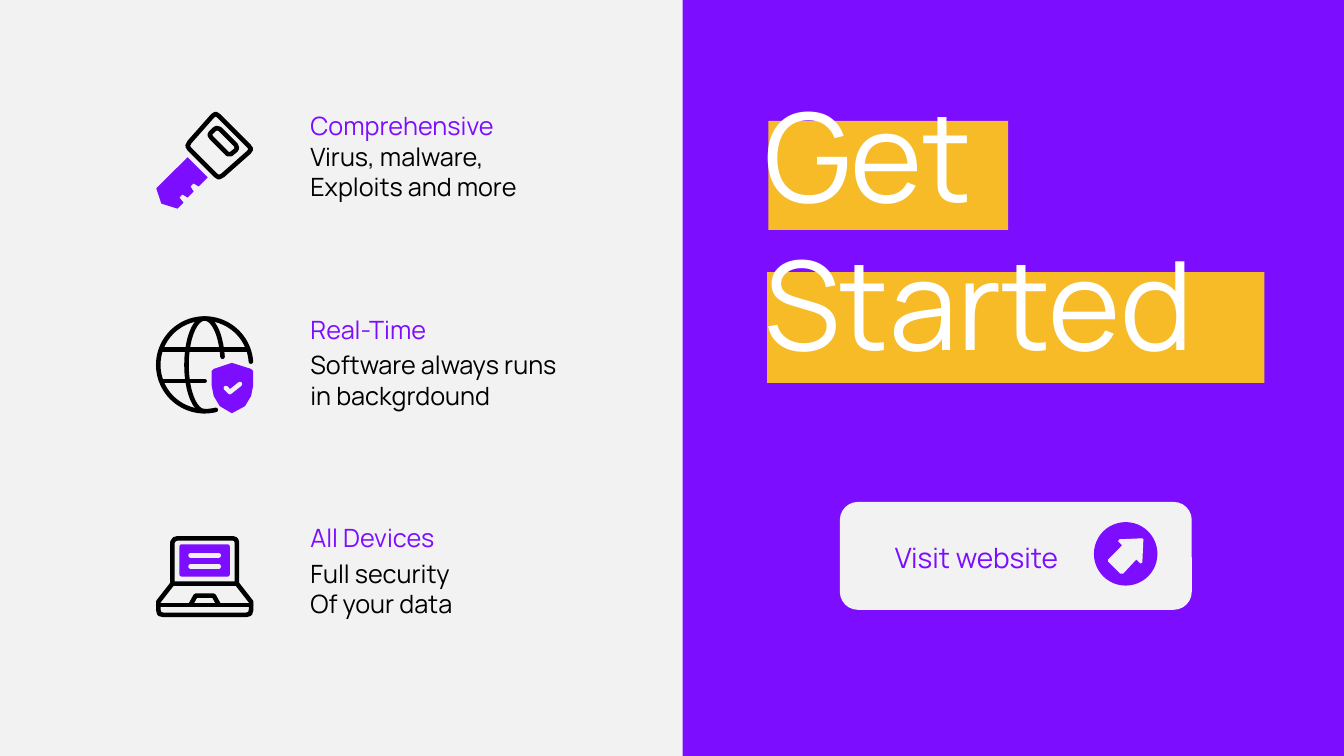
from math import cos, radians, sin

from lxml import etree
from pptx import Presentation
from pptx.dml.color import RGBColor
from pptx.enum.shapes import MSO_SHAPE
from pptx.enum.text import PP_ALIGN
from pptx.oxml.ns import qn
from pptx.util import Inches, Pt

RECT = MSO_SHAPE.RECTANGLE
ROUND = MSO_SHAPE.ROUNDED_RECTANGLE
OVAL = MSO_SHAPE.OVAL
LEFT, CENTER = PP_ALIGN.LEFT, PP_ALIGN.CENTER

COLORS = {
    "paper": "F2F2F2",
    "violet": "7C0DFF",
    "amber": "F6BB26",
    "black": "000000",
    "white": "FFFFFF",
}


def arc(cx, cy, rx, ry, start, end, step=4):
    return [
        (cx + rx * cos(radians(a)), cy + ry * sin(radians(a)))
        for a in range(start, end + 1, step)
    ]


class Deck:
    font = "Manrope"
    stroke = Pt(3.25)

    def __init__(self, prs):
        self.s = prs.slides.add_slide(prs.slide_layouts[6])
        fill = self.s.background.fill
        fill.solid()
        fill.fore_color.rgb = self.color("paper")

    def color(self, name):
        return RGBColor.from_string(COLORS[name])

    def paint(self, sp, color):
        sp.shadow.inherit = False
        sp.fill.solid()
        sp.fill.fore_color.rgb = self.color(color)
        sp.line.fill.background()

    def shape(self, kind, x, y, w, h, color):
        sp = self.s.shapes.add_shape(kind, Inches(x), Inches(y), Inches(w), Inches(h))
        self.paint(sp, color)
        return sp

    def outline(self, points, close):
        pts = [(Inches(x), Inches(y)) for x, y in points]
        fb = self.s.shapes.build_freeform(*pts[0])
        fb.add_line_segments(pts[1:], close=close)
        return fb.convert_to_shape()

    def solid(self, points, color):
        self.paint(self.outline(points, True), color)

    def round_line(self, line, color):
        line.color.rgb = self.color(color)
        line.width = self.stroke

    def path_line(self, points, color="black", close=False):
        sp = self.outline(points, close)
        sp.shadow.inherit = False
        sp.fill.background()
        self.round_line(sp.line, color)
        ln = sp.line._get_or_add_ln()
        ln.set("cap", "rnd")
        etree.SubElement(ln, qn("a:round"))

    def bar(self, x1, x2, y, color="black"):
        c = self.s.shapes.add_connector(1, Inches(x1), Inches(y), Inches(x2), Inches(y))
        self.round_line(c.line, color)
        c.line._get_or_add_ln().set("cap", "rnd")
        etree.SubElement(c._element.spPr, qn("a:effectLst"))

    def text(self, x, y, w, h, lines, size, color, align=LEFT):
        tf = self.s.shapes.add_textbox(Inches(x), Inches(y), Inches(w), Inches(h)).text_frame
        tf.word_wrap = True
        for i, line in enumerate(lines):
            p = tf.add_paragraph() if i else tf.paragraphs[0]
            p.alignment = align
            r = p.add_run()
            r.text = line
            r.font.name = self.font
            r.font.size = Pt(size)
            r.font.color.rgb = self.color(color)


def draw_key(d):
    d.solid([(1.86, 1.56), (2.06, 1.76), (1.97, 1.85), (1.92, 1.82), (1.89, 1.85),
             (1.92, 1.9), (1.86, 1.96), (1.81, 1.93), (1.78, 1.96), (1.82, 2.01),
             (1.76, 2.07), (1.6, 2.02), (1.55, 1.87)], "violet")
    d.path_line([(2.11, 1.15), (2.14, 1.13), (2.17, 1.15), (2.47, 1.45), (2.49, 1.48),
                 (2.47, 1.51), (2.21, 1.74), (2.17, 1.76), (2.14, 1.74), (1.88, 1.48),
                 (1.86, 1.45), (1.88, 1.41)], close=True)
    d.path_line([(2.13, 1.28), (2.15, 1.27), (2.18, 1.28), (2.34, 1.44), (2.35, 1.47),
                 (2.34, 1.49), (2.29, 1.53), (2.26, 1.53), (2.1, 1.37), (2.08, 1.34),
                 (2.09, 1.32)], close=True)


def draw_globe(d):
    d.path_line(arc(2.03, 3.62, 0.46, 0.46, 76, 356))
    d.path_line(arc(2.03, 3.62, 0.18, 0.46, 90, 352))
    d.bar(1.61, 2.45, 3.47)
    d.bar(1.61, 2.03, 3.78)
    d.solid([(2.3, 3.6), (2.49, 3.66), (2.51, 3.68), (2.51, 3.83), (2.49, 3.93),
             (2.43, 4.03), (2.3, 4.1), (2.18, 4.03), (2.12, 3.93), (2.1, 3.83),
             (2.1, 3.68), (2.12, 3.66)], "violet")
    d.path_line([(2.24, 3.85), (2.28, 3.89), (2.38, 3.81)], "paper")


def draw_laptop(d):
    d.path_line([(1.71, 5.79), (1.71, 5.38), (1.73, 5.35), (1.76, 5.34), (2.31, 5.34),
                 (2.34, 5.35), (2.35, 5.38), (2.35, 5.79)])
    d.path_line([(1.71, 5.79), (2.35, 5.79), (2.49, 5.97), (2.49, 6.05), (2.48, 6.09),
                 (2.44, 6.1), (1.62, 6.1), (1.58, 6.09), (1.57, 6.05), (1.57, 5.97)],
                close=True)
    d.bar(1.57, 2.49, 6)
    d.path_line([(1.89, 6), (1.94, 5.91), (2.12, 5.91), (2.17, 6)])
    d.shape(ROUND, 1.78, 5.4, 0.5, 0.32, "violet").adjustments[0] = 0.07
    for y in (5.51, 5.62):
        d.bar(1.89, 2.17, y, "paper")


def main():
    prs = Presentation()
    prs.slide_width, prs.slide_height = Inches(13.33), Inches(7.5)
    d = Deck(prs)

    d.shape(RECT, 6.77, 0, 6.56, 7.5, "violet")
    d.shape(RECT, 7.61, 2.7, 4.93, 1.1, "amber")
    d.shape(RECT, 7.62, 1.2, 2.38, 1.08, "amber")
    d.text(7.48, 0.74, 4.93, 3.06, ["Get", "Started"], 88, "white")

    features = [
        (1.05, "Comprehensive", 1.35, ["Virus, malware,", "Exploits and more"], draw_key),
        (3.07, "Real-Time", 3.42, ["Software always runs in backgrdound"], draw_globe),
        (5.13, "All Devices", 5.49, ["Full security", "Of your data"], draw_laptop),
    ]
    for head_y, head, body_y, body, draw_icon in features:
        d.text(2.98, body_y, 2.85, 0.71, body, 18, "black")
        d.text(2.98, head_y, 2.28, 0.4, [head], 18, "violet")
        draw_icon(d)

    d.shape(ROUND, 8.33, 4.98, 3.49, 1.07, "paper")
    d.text(8.65, 5.31, 2.07, 0.44, ["Visit website"], 20, "violet", CENTER)
    d.shape(OVAL, 10.85, 5.18, 0.63, 0.63, "violet")
    d.solid([(11.1, 5.35), (11.33, 5.34), (11.34, 5.35), (11.33, 5.58), (11.31, 5.59),
             (11.27, 5.55), (11.14, 5.69), (11.11, 5.69), (10.99, 5.57), (10.99, 5.55),
             (11.13, 5.41), (11.09, 5.37)], "paper")

    prs.save("out.pptx")


if __name__ == "__main__":
    main()
